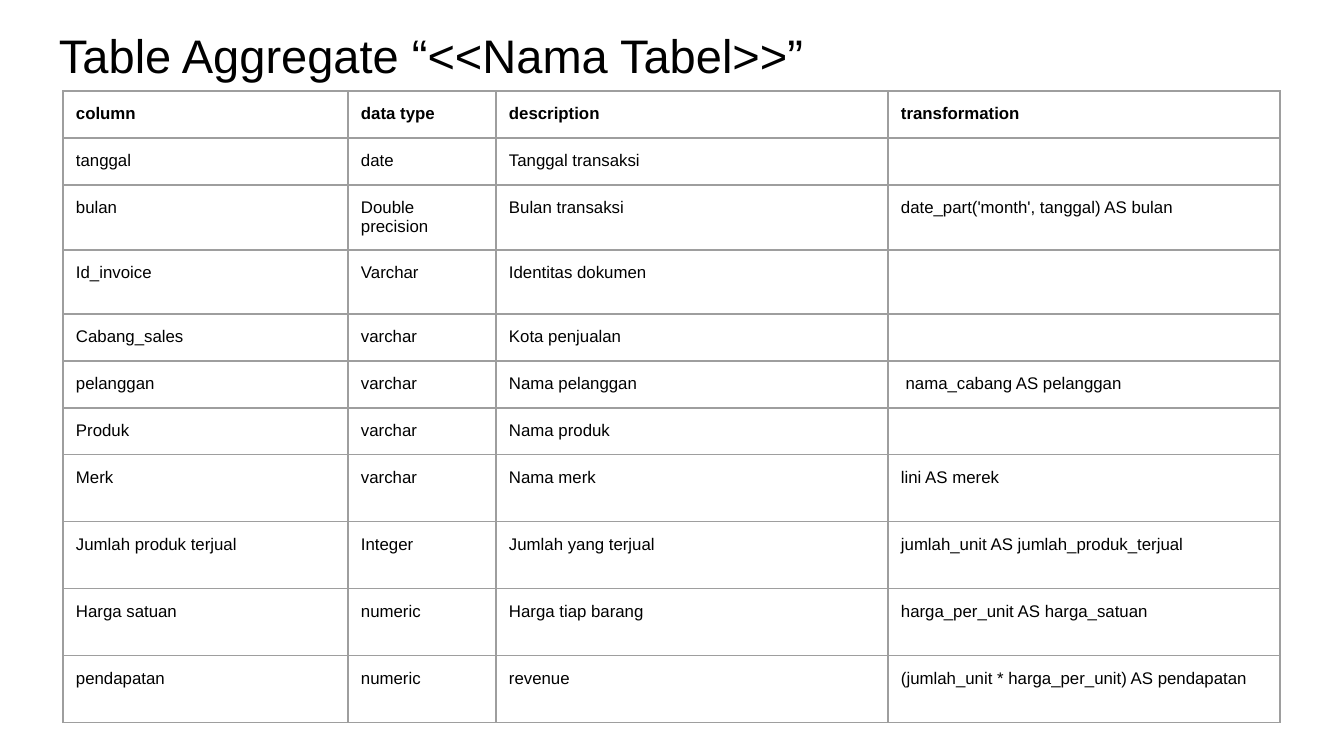
from pptx import Presentation
from pptx.dml.color import RGBColor as RGB
from pptx.enum.text import MSO_ANCHOR as Anchor
from pptx.oxml.ns import qn
from pptx.util import Emu, Pt
from lxml.etree import SubElement as sub

theme = {
    "font": "Arial",
    "ink": "000000",
    "paper": "FFFFFF",
    "rule": "9E9E9E",
    "title": 25.2,
    "body": 9,
    "line": 0.75,
}
SCALE = 914400 / 134.4


def px(n):
    return Emu(round(n * SCALE))


def write(frame, text, size, bold=False):
    frame.word_wrap = True
    frame.margin_left = frame.margin_right = px(13)
    frame.margin_top = frame.margin_bottom = px(13)
    para = frame.paragraphs[0]
    if not text:
        # An empty cell keeps the body size, so its row does not grow
        sub(para._p, qn("a:endParaRPr"), sz=str(size * 100))
        return
    run = para.add_run()
    run.text = text
    run.font.name = theme["font"]
    run.font.size = Pt(size)
    run.font.bold = bold
    run.font.color.rgb = RGB.from_string(theme["ink"])


deck = Presentation()
deck.slide_width, deck.slide_height = px(1344), px(756)
slide = deck.slides.add_slide(deck.slide_layouts[6])
slide.background.fill.solid()
slide.background.fill.fore_color.rgb = RGB.from_string(theme["paper"])

# Table content
rows = [
    ("column", "data type", "description", "transformation"),
    ("tanggal", "date", "Tanggal transaksi", ""),
    ("bulan", "Double precision", "Bulan transaksi",
     "date_part('month', tanggal) AS bulan"),
    ("Id_invoice", "Varchar", "Identitas dokumen", ""),
    ("Cabang_sales", "varchar", "Kota penjualan", ""),
    ("pelanggan", "varchar", "Nama pelanggan", " nama_cabang AS pelanggan"),
    ("Produk", "varchar", "Nama produk", ""),
    ("Merk", "varchar", "Nama merk", "lini AS merek"),
    ("Jumlah produk terjual", "Integer", "Jumlah yang terjual",
     "jumlah_unit AS jumlah_produk_terjual"),
    ("Harga satuan", "numeric", "Harga tiap barang",
     "harga_per_unit AS harga_satuan"),
    ("pendapatan", "numeric", "revenue",
     "(jumlah_unit * harga_per_unit) AS pendapatan"),
]
widths = [285, 148, 392, 392]
heights = [47, 47, 65, 64] + [47] * 3 + [67] * 4

# Table grid
table = slide.shapes.add_table(
    len(rows), len(widths), px(63), px(91),
    px(sum(widths)), px(sum(heights))).table
table.first_row = table.horz_banding = False
for col, wide in zip(table.columns, widths):
    col.width = px(wide)
for row, high in zip(table.rows, heights):
    row.height = px(high)

# Cells: text, borders, then no fill
for r, row in enumerate(rows):
    for c, text in enumerate(row):
        cell = table.cell(r, c)
        write(cell.text_frame, text, theme["body"], bold=r == 0)
        cell.margin_left = cell.margin_right = px(13)
        cell.margin_top = cell.margin_bottom = px(13)
        props = cell._tc.get_or_add_tcPr()
        for side in ("lnL", "lnR", "lnT", "lnB"):
            edge = sub(props, qn(f"a:{side}"), w=str(Pt(theme["line"])))
            fill = sub(edge, qn("a:solidFill"))
            sub(fill, qn("a:srgbClr"), val=theme["rule"])
        cell.fill.background()

# Title
title = slide.shapes.add_textbox(px(46), px(11), px(1252), px(85)).text_frame
title.vertical_anchor = Anchor.BOTTOM
write(title, "Table Aggregate “<<Nama Tabel>>”", theme["title"])

deck.save("out.pptx")
